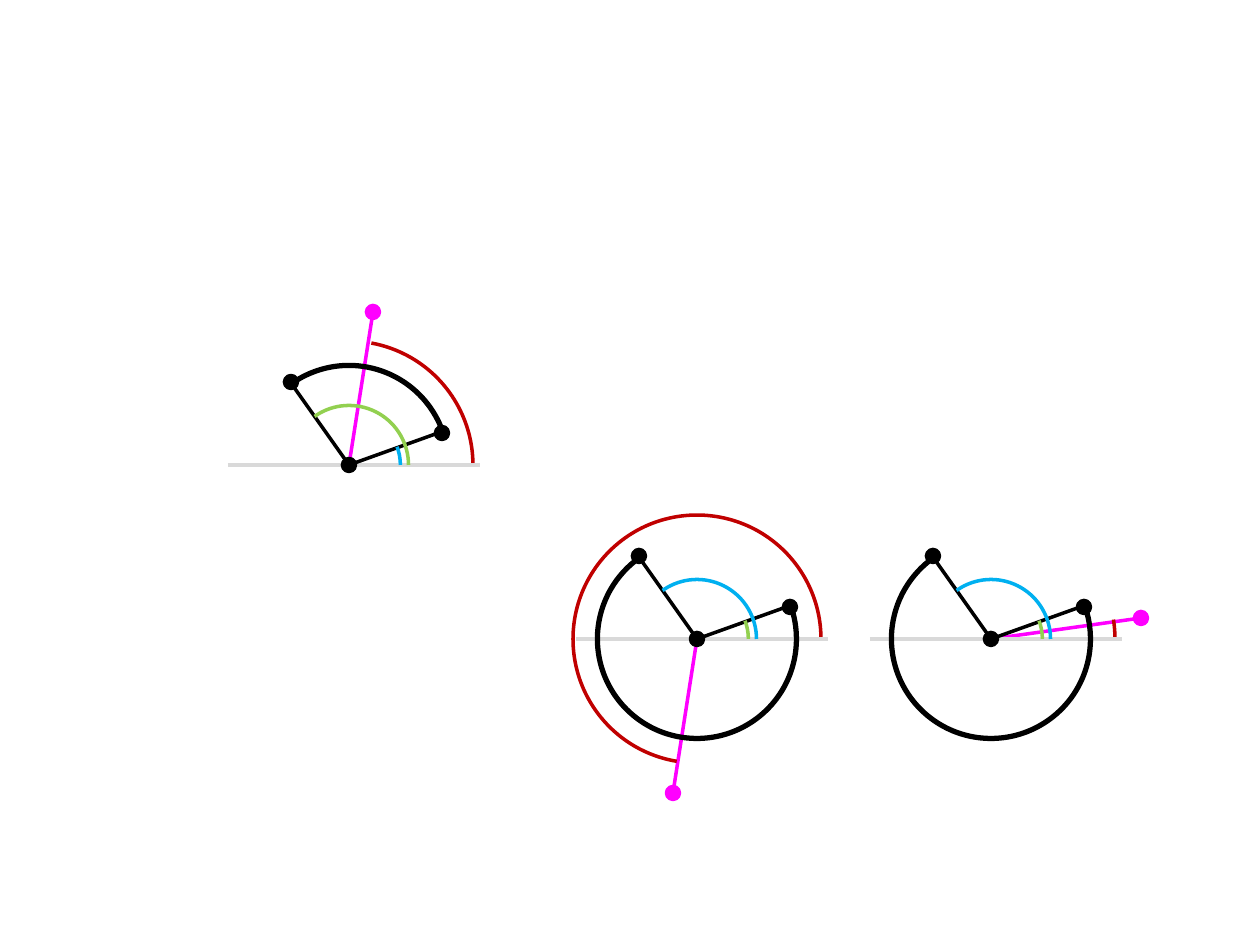
"""Build a slide of three arc diagrams with their start, end and test angles."""
from dataclasses import dataclass

from lxml import etree
from pptx import Presentation
from pptx import util as u
from pptx.dml.color import RGBColor
from pptx.enum import shapes
from pptx.oxml.ns import qn

PX = 914400 / 126
SLIDE_SIZE = (1260, 945)
DIAMETER = 248
START, END = (93, -32), (-58, -83)
START_ANGLE, END_ANGLE = 340.3, 234.7


@dataclass(frozen=True)
class Theme:
    """Colours and line widths of the diagrams."""
    ink: str = "000000"
    axis: str = "D9D9D9"
    ray: str = "FF00FF"
    ray_angle: str = "C00000"
    green: str = "92D050"
    blue: str = "00B0F0"
    thin: int = 2
    thick: int = 3


THEME = Theme()


def px(length):
    """Turn pixels into EMU."""
    return u.Emu(round(length * PX))


def set_line(shape, colour, width):
    """Give a shape or connector its line."""
    shape.line.color.rgb = RGBColor.from_string(colour)
    shape.line.width = u.Pt(width)


def add_line(group, start, end, colour):
    """Draw a straight line without a shadow."""
    line = group.shapes.add_connector(
        shapes.MSO_CONNECTOR.STRAIGHT, *map(px, (*start, *end)))
    set_line(line, colour, THEME.thin)
    etree.SubElement(line._element.spPr, qn("a:effectLst"))


def add_round(group, kind, centre, diameter, colour, width=THEME.thin):
    """Place an unfilled round shape about its centre."""
    left, top = (value - diameter / 2 for value in centre)
    shape = group.shapes.add_shape(kind, *map(px, (left, top, diameter, diameter)))
    shape.shadow.inherit = False
    shape.fill.background()
    set_line(shape, colour, width)
    return shape


def add_sweep(group, kind, centre, diameter, angles, colour, width=THEME.thin):
    """Draw an arc or pie clockwise between two angles in degrees."""
    shape = add_round(group, kind, centre, diameter, colour, width)
    for index, angle in enumerate(angles):
        shape.adjustments[index] = angle * 0.6


def add_dot(group, centre, colour):
    """Draw a filled point."""
    dot = add_round(group, shapes.MSO_SHAPE.OVAL, centre, 13, colour)
    dot.fill.solid()
    dot.fill.fore_color.rgb = RGBColor.from_string(colour)


def add_diagram(slide, left, top, ray, ray_angle, sweep, small_colour, large_colour):
    """Draw one arc with its axis, test ray and angle marks."""
    group = slide.shapes.add_group_shape()
    centre = (left + DIAMETER // 2, top + DIAMETER // 2)
    arc, pie = shapes.MSO_SHAPE.ARC, shapes.MSO_SHAPE.BLOCK_ARC
    pie = shapes.MSO_SHAPE.PIE

    def at(offset):
        """Move an offset to the centre of the diagram."""
        return centre[0] + offset[0], centre[1] + offset[1]

    add_line(group, centre, at(ray), THEME.ray)
    add_sweep(group, arc, centre, DIAMETER, (ray_angle, 0), THEME.ray_angle)
    add_dot(group, at(ray), THEME.ray)
    add_line(group, at((-121, 0)), at((131, 0)), THEME.axis)
    add_sweep(group, pie, centre, 199, sweep, THEME.ink)
    add_sweep(group, arc, centre, 199, sweep, THEME.ink, THEME.thick)
    for offset in ((0, 0), END, START):
        add_dot(group, at(offset), THEME.ink)
    add_sweep(group, arc, centre, 103, (339.3, 0), small_colour)
    add_sweep(group, arc, centre, 119, (END_ANGLE, 0), large_colour)


def main():
    """Build and save the slide."""
    presentation = Presentation()
    presentation.slide_width, presentation.slide_height = map(px, SLIDE_SIZE)
    slide = presentation.slides.add_slide(presentation.slide_layouts[6])
    minor, major = (END_ANGLE, START_ANGLE), (START_ANGLE, END_ANGLE)
    add_diagram(slide, 573, 515, (-24, 154), 99.4, major, THEME.green, THEME.blue)
    add_diagram(slide, 225, 341, (24, -153), 280.4, minor, THEME.blue, THEME.green)
    add_diagram(slide, 867, 515, (150, -21), 351, major, THEME.green, THEME.blue)
    presentation.save("out.pptx")


if __name__ == "__main__":
    main()
